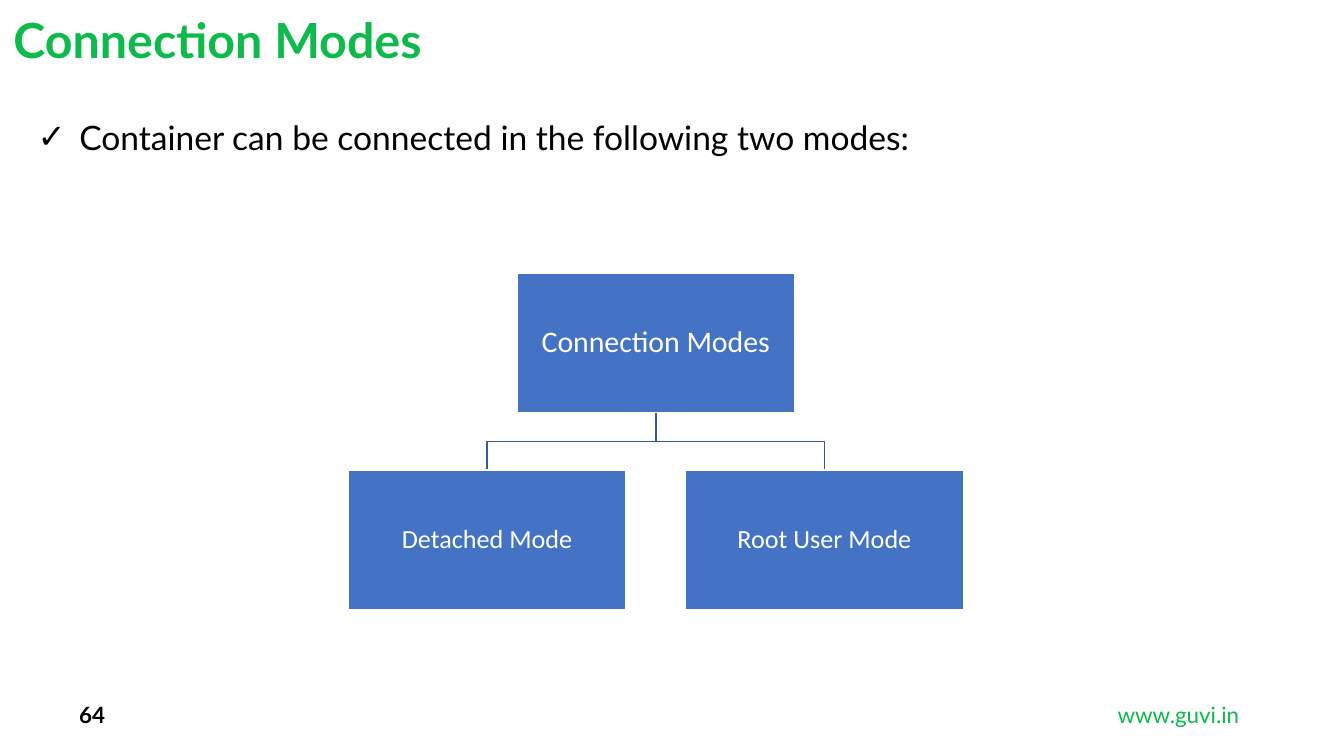
from lxml import etree
from pptx import Presentation
from pptx.dml.color import RGBColor
from pptx.enum.shapes import MSO_SHAPE
from pptx.enum.text import MSO_ANCHOR, MSO_AUTO_SIZE, PP_ALIGN
from pptx.oxml.ns import qn
from pptx.util import Inches, Pt

LEFT, CENTER, RIGHT = PP_ALIGN.LEFT, PP_ALIGN.CENTER, PP_ALIGN.RIGHT
TOP, MIDDLE = MSO_ANCHOR.TOP, MSO_ANCHOR.MIDDLE
RECTANGLE = MSO_SHAPE.RECTANGLE
NO_AUTOFIT = MSO_AUTO_SIZE.NONE

COLORS = {
    "green": "0DBA4B",
    "black": "000000",
    "white": "FFFFFF",
    "box": "4472C4",
    "branch": "365B9D",
}

TITLE = "Connection Modes"
INTRO = "Container can be connected in the following two modes:"
PAGE_NUMBER = "64"
SITE = "www.guvi.in"
ROOT = "Connection Modes"
MODES = ["Detached Mode", "Root User Mode"]

SLIDE_W = 10
SLIDE_H = SLIDE_W * 9 / 16
BOX_W, BOX_H = 2.07, 1.04
TREE_CENTER = 4.88
ROOT_TOP, MODE_TOP = 2.03, 3.5
MODE_STEP = 2.51


def color(name):
    return RGBColor.from_string(COLORS[name])


def place(shape, left, top, width, height):
    shape.left, shape.top = Inches(left), Inches(top)
    shape.width, shape.height = Inches(width), Inches(height)


def write(shape, text, size, ink, font="Lato", bold=False, align=LEFT, anchor=TOP,
          inset=None, line_spacing=1.0, after=0, bullet=None, indent=0):
    frame = shape.text_frame
    frame.word_wrap = True
    frame.auto_size = NO_AUTOFIT
    frame.vertical_anchor = anchor
    if inset is not None:
        frame.margin_left = frame.margin_right = Inches(inset)
        frame.margin_top = frame.margin_bottom = Inches(inset)
    paragraph = frame.paragraphs[0]
    paragraph.text = text
    if bullet:
        properties = paragraph._p.get_or_add_pPr()
        properties.set("marL", str(Inches(indent)))
        properties.set("indent", str(-Inches(indent)))
        etree.SubElement(properties, qn("a:buChar")).set("char", bullet)
    paragraph.alignment = align
    paragraph.line_spacing = line_spacing
    paragraph.space_before = Pt(0)
    paragraph.space_after = Pt(after)
    run_font = paragraph.runs[0].font
    run_font.name, run_font.size, run_font.bold = font, Pt(size), bold
    run_font.color.rgb = color(ink)


def add_footer(slide, text, left, width, **style):
    footer = slide.shapes.add_textbox(Inches(left), Inches(5.17), Inches(width), Inches(0.3))
    write(footer, text, 12, anchor=MIDDLE, **style)


def add_branch(slide, mode_center):
    start, end = ROOT_TOP + BOX_H, MODE_TOP
    bend = (start + end) / 2
    builder = slide.shapes.build_freeform(Inches(TREE_CENTER), Inches(start))
    corners = [(TREE_CENTER, bend), (mode_center, bend), (mode_center, end)]
    builder.add_line_segments([(Inches(x), Inches(y)) for x, y in corners], close=False)
    branch = builder.convert_to_shape()
    branch.shadow.inherit = False
    branch.fill.background()
    branch.line.color.rgb = color("branch")
    branch.line.width = Pt(1)


def add_box(slide, text, center, top, size):
    box = slide.shapes.add_shape(RECTANGLE, Inches(center - BOX_W / 2), Inches(top),
                                 Inches(BOX_W), Inches(BOX_H))
    box.shadow.inherit = False
    box.fill.solid()
    box.fill.fore_color.rgb = color("box")
    box.line.color.rgb = color("white")
    box.line.width = Pt(1)
    write(box, text, size, "white", font="Calibri", align=CENTER, anchor=MIDDLE,
          inset=0.01, line_spacing=0.9)


def main():
    deck = Presentation()
    deck.slide_width, deck.slide_height = Inches(SLIDE_W), Inches(SLIDE_H)
    slide = deck.slides.add_slide(deck.slide_layouts[1])

    title, intro = slide.placeholders
    place(title, 0, 0.11, 7.92, 0.48)
    write(title, TITLE, 25.9, "green", bold=True, line_spacing=0.8)
    place(intro, 0.18, 0.82, 9.16, 0.4)
    write(intro, INTRO, 18, "black", after=4, bullet="✓", indent=0.31)

    add_footer(slide, SITE, 5.94, 3.38, ink="green", align=RIGHT)
    add_footer(slide, PAGE_NUMBER, 0.49, 2.25, ink="black", bold=True)

    first_center = TREE_CENTER - MODE_STEP * (len(MODES) - 1) / 2
    centers = [first_center + i * MODE_STEP for i in range(len(MODES))]
    for center in centers:
        add_branch(slide, center)
    add_box(slide, ROOT, TREE_CENTER, ROOT_TOP, 16)
    for mode, center in zip(MODES, centers):
        add_box(slide, mode, center, MODE_TOP, 14)

    deck.save("out.pptx")


if __name__ == "__main__":
    main()
